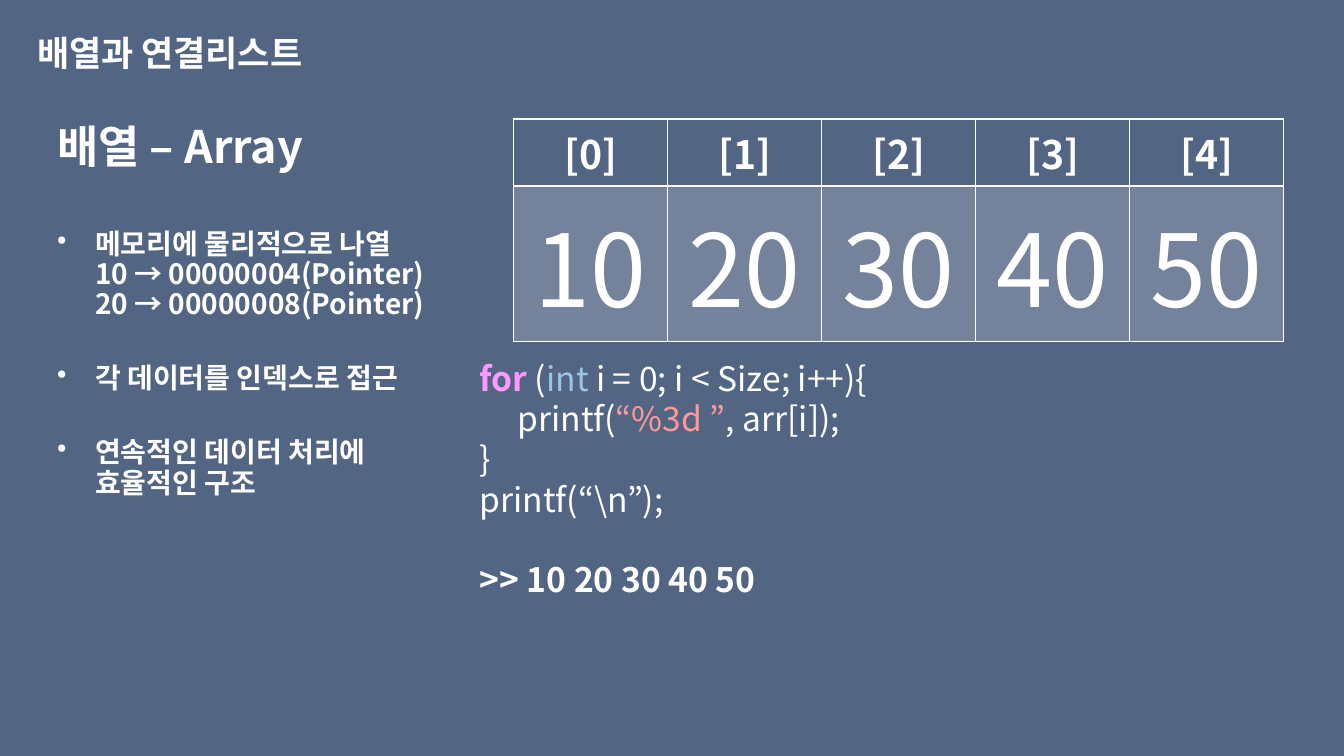
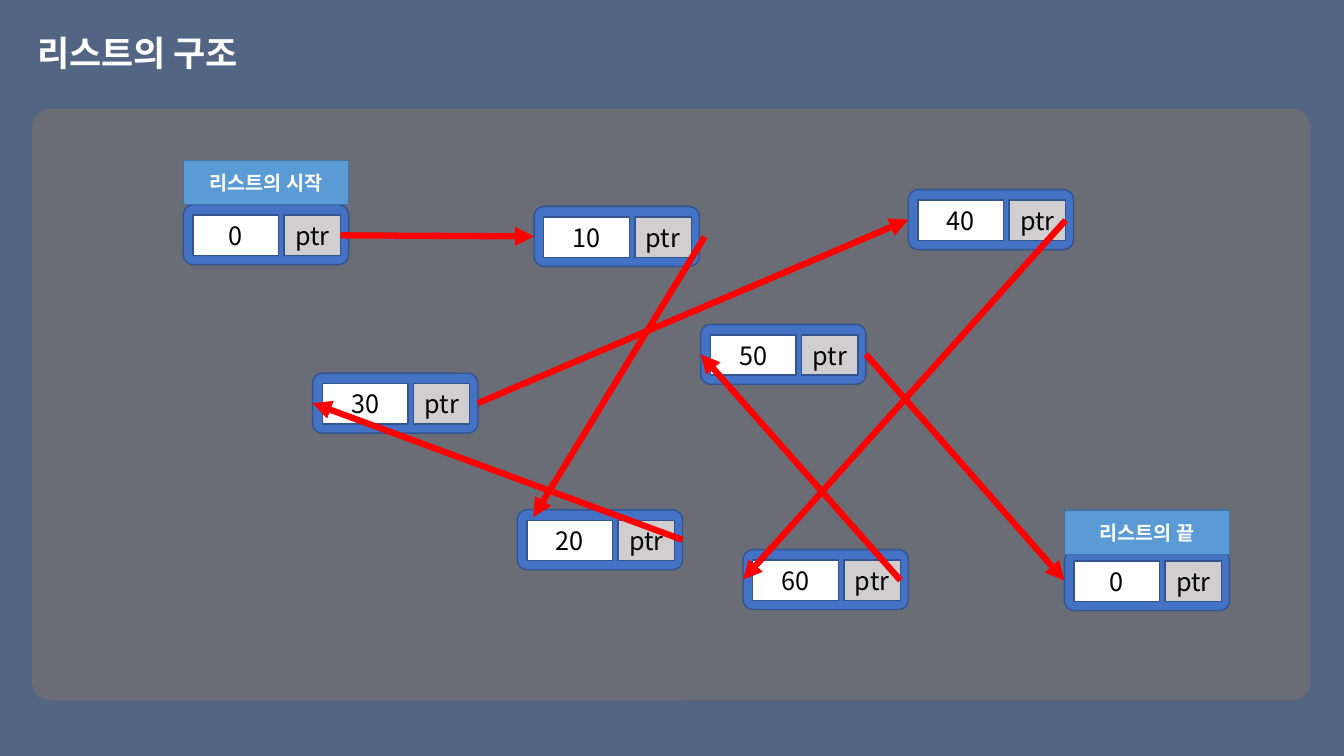
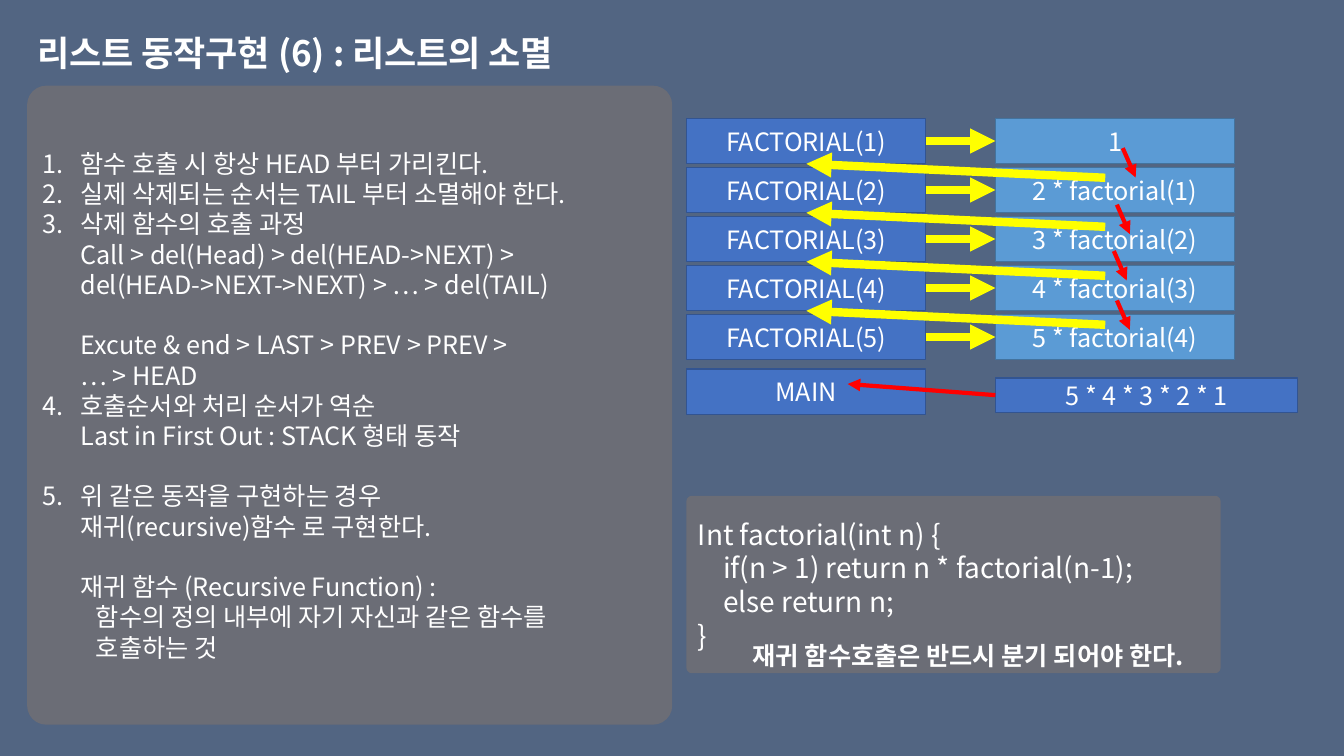
from pptx import Presentation
from pptx.dml.color import RGBColor
from pptx.enum.shapes import MSO_CONNECTOR, MSO_SHAPE
from pptx.enum.text import MSO_ANCHOR, MSO_AUTO_SIZE, PP_ALIGN
from pptx.oxml.ns import qn
from pptx.util import Pt
from lxml.etree import SubElement

FONT = "Noto Sans CJK KR"
NAVY = RGBColor(0x52, 0x65, 0x82)
WHITE = RGBColor(0xFF, 0xFF, 0xFF)
BLACK = RGBColor(0, 0, 0)
GRAY = RGBColor(0x76, 0x71, 0x71)
SILVER = RGBColor(0xD0, 0xCE, 0xCE)
BLUE = RGBColor(0x44, 0x72, 0xC4)
BLUE_EDGE = RGBColor(0x32, 0x54, 0x91)
SKY = RGBColor(0x5B, 0x9B, 0xD5)
SKY_EDGE = RGBColor(0x43, 0x73, 0x9E)
RED = RGBColor(0xFF, 0, 0)
YELLOW = RGBColor(0xFF, 0xFF, 0)
PINK = RGBColor(0xFF, 0x99, 0xFF)
PALE_BLUE = RGBColor(0x9D, 0xC3, 0xE6)
SALMON = RGBColor(0xFF, 0x99, 0x99)
HANG = 27
LEFT_SITE, RIGHT_SITE = 1, 3

# Content: a paragraph is a string or a dict; a run is (text, format)
ARRAY_VALUES = [10, 20, 30, 40, 50]
ARRAY_POINTS = [
    dict(text="배열 – Array", size=32, leading=34.5, before=10),
    dict(text="메모리에 물리적으로 나열\n10 → 00000004(Pointer)\n20 → 00000008(Pointer)",
         bullet="•", before=41.4),
    dict(text="각 데이터를 인덱스로 접근", bullet="•", before=31.4),
    dict(text="연속적인 데이터 처리에\n효율적인 구조", bullet="•", before=31.4),
]
ARRAY_CODE = [
    dict(runs=[("for", dict(color=PINK, bold=True)), (" (", {}),
               ("int ", dict(color=PALE_BLUE)), ("i = 0; i < Size; i++){", {})]),
    dict(runs=[("printf(", {}), ("“%3d ”", dict(color=SALMON)), (", arr[i]);", {})],
         left=HANG),
    "}",
    "printf(“\\n”);",
    dict(text=">> 10 20 30 40 50", bold=True, before=28.8),
]

# Nodes: name -> value, left, top
NODES = {
    "start": ("0", 131, 146.2),
    "end": ("0", 760.3, 393.3),
    "10": ("10", 381.5, 147.5),
    "30": ("30", 223.3, 266.6),
    "40": ("40", 648.8, 135.5),
    "20": ("20", 369.5, 364.2),
    "50": ("50", 500.5, 231.7),
    "60": ("60", 530.8, 392.6),
}
NODE_LABELS = [("리스트의 시작", 131, 114.5), ("리스트의 끝", 760.3, 364.3)]
# Links: source, part the arrow leaves from, target
LINKS = [("start", "pointer", "10"), ("20", "frame", "30"), ("30", "frame", "40"),
         ("40", "pointer", "60"), ("60", "pointer", "50"), ("50", "frame", "end")]
LINK_10_TO_20 = (503.3, 169.2, 380.9, 369.4)

DELETE_STEPS = [
    dict(text="함수 호출 시 항상 HEAD 부터 가리킨다.", bullet="1"),
    dict(text="실제 삭제되는 순서는 TAIL 부터 소멸해야 한다.", bullet="1"),
    dict(text="삭제 함수의 호출 과정\nCall > del(Head) > del(HEAD->NEXT) >\n"
              "del(HEAD->NEXT->NEXT) > … > del(TAIL)", bullet="1"),
    dict(text="Excute & end > LAST > PREV > PREV >\n… > HEAD",
         level=1, left=HANG, before=21.6),
    dict(text="호출순서와 처리 순서가 역순\nLast in First Out : STACK 형태 동작", bullet="1"),
    dict(text="위 같은 동작을 구현하는 경우\n재귀(recursive)함수 로 구현한다.",
         bullet="1", before=21.6),
    dict(text="재귀 함수 (Recursive Function) :", level=1, left=HANG, before=21.6),
    dict(text="함수의 정의 내부에 자기 자신과 같은 함수를\n호출하는 것", level=1, left=38),
]
FACTORIAL_CODE = [
    "Int factorial(int n) {",
    dict(text="if(n > 1) return n * factorial(n-1);", left=18),
    dict(text="else return n;", left=18),
    "}",
]
CALLS = [
    ("FACTORIAL(1)", "1"),
    ("FACTORIAL(2)", "2 * factorial(1)"),
    ("FACTORIAL(3)", "3 * factorial(2)"),
    ("FACTORIAL(4)", "4 * factorial(3)"),
    ("FACTORIAL(5)", "5 * factorial(4)"),
]
SUBSTITUTION_STARTS = [(802, 105.8), (797.8, 146.2), (795.6, 179.3), (797.8, 214.6)]


def write(frame, paragraphs, size=18, color=WHITE, bold=False, align=PP_ALIGN.LEFT,
          anchor=MSO_ANCHOR.TOP, leading=None, wrap=True):
    """Fill a text frame; a paragraph's own keys override the shared format."""
    frame.word_wrap = wrap
    frame.auto_size = MSO_AUTO_SIZE.NONE
    frame.vertical_anchor = anchor
    for i, item in enumerate(paragraphs):
        item = dict(text=item) if isinstance(item, str) else item
        paragraph = frame.paragraphs[0] if i == 0 else frame.add_paragraph()
        paragraph.alignment = align
        paragraph.level = item.get("level", 0)
        paragraph.space_before = Pt(item.get("before", 0))
        spacing = item.get("leading", leading)
        if spacing:
            paragraph.line_spacing = Pt(spacing)
        bullet = item.get("bullet")
        props = paragraph._p.get_or_add_pPr()
        props.set("marL", str(Pt(HANG if bullet else item.get("left", 0))))
        props.set("indent", str(Pt(-HANG if bullet else 0)))
        if bullet == "1":
            SubElement(props, qn("a:buAutoNum"), type="arabicPeriod")
        elif bullet:
            SubElement(props, qn("a:buChar"), char=bullet)
        else:
            SubElement(props, qn("a:buNone"))
        for text, look in item.get("runs") or [(item["text"], {})]:
            look = {**item, **look}
            for n, line in enumerate(text.split("\n")):
                if n:
                    paragraph.add_line_break()
                run = paragraph.add_run()
                run.text = line
                run.font.name = FONT
                run.font.size = Pt(look.get("size", size))
                run.font.bold = look.get("bold", bold)
                run.font.color.rgb = look.get("color", color)
                SubElement(run._r.get_or_add_rPr(), qn("a:ea"), typeface=FONT)


def set_opacity(props, percent):
    for tint in props.xpath("./a:solidFill/a:srgbClr"):
        SubElement(tint, qn("a:alpha"), val=str(percent * 1000))


def add_box(shapes, left, top, width, height, fill, edge, kind=MSO_SHAPE.RECTANGLE):
    box = shapes.add_shape(kind, Pt(left), Pt(top), Pt(width), Pt(height))
    box.shadow.inherit = False
    box.fill.solid()
    box.fill.fore_color.rgb = fill
    if edge is None:
        box.line.fill.background()
    else:
        box.line.color.rgb = edge
        box.line.width = Pt(1)
    return box


def add_label(shapes, text, left, top, width, height, fill, edge, **look):
    box = add_box(shapes, left, top, width, height, fill, edge)
    write(box.text_frame, [text], align=PP_ALIGN.CENTER, anchor=MSO_ANCHOR.MIDDLE, **look)
    return box


def add_panel(shapes, left, top, width, height):
    panel = add_box(shapes, left, top, width, height, GRAY, None,
                    MSO_SHAPE.ROUNDED_RECTANGLE)
    panel.adjustments[0] = 0.03
    set_opacity(panel._element.spPr, 70)
    return panel


def add_text(shapes, paragraphs, left, top, width, height, **look):
    box = shapes.add_textbox(Pt(left), Pt(top), Pt(width), Pt(height))
    write(box.text_frame, paragraphs, **look)


def add_arrow(shapes, color, width, points=(0, 0, 0, 0), source=None, target=None):
    """Draw an arrow; an end given as (shape, site) is glued there."""
    arrow = shapes.add_connector(MSO_CONNECTOR.STRAIGHT, *map(Pt, points))
    if source:
        arrow.begin_connect(*source)
    if target:
        arrow.end_connect(*target)
    arrow.line.color.rgb = color
    arrow.line.width = Pt(width)
    props = arrow._element.spPr
    SubElement(props.find(qn("a:ln")), qn("a:tailEnd"), type="triangle")
    SubElement(props, qn("a:effectLst"))


def add_titled_slide(prs, text):
    slide = prs.slides.add_slide(prs.slide_layouts[5])
    title = slide.shapes.title
    title.left, title.top, title.width, title.height = map(Pt, (19.4, 21.6, 573, 40))
    write(title.text_frame, [text], size=25, bold=True, leading=27)
    return slide.shapes


def style_cell(cell, text, size, bold, bottom, opacity):
    write(cell.text_frame, [text], size=size, bold=bold, align=PP_ALIGN.CENTER)
    cell.vertical_anchor = MSO_ANCHOR.MIDDLE
    props = cell._tc.get_or_add_tcPr()
    for side, width in (("L", 1), ("R", 1), ("T", 1), ("B", bottom)):
        border = SubElement(props, qn(f"a:ln{side}"), w=str(Pt(width)))
        paint = SubElement(border, qn("a:solidFill"))
        SubElement(paint, qn("a:srgbClr"), val=str(WHITE))
    if opacity:
        cell.fill.solid()
        cell.fill.fore_color.rgb = WHITE
        set_opacity(props, opacity)
    else:
        cell.fill.background()


def build_array(prs):
    shapes = add_titled_slide(prs, "배열과 연결리스트")
    add_text(shapes, ARRAY_POINTS, 33.8, 85, 295, 426, size=20, bold=True, leading=21.5)

    # Index row over value row
    count = len(ARRAY_VALUES)
    table = shapes.add_table(2, count, Pt(367), Pt(85), Pt(110 * count), Pt(159)).table
    table.first_row = table.horz_banding = False
    table.rows[0].height, table.rows[1].height = Pt(47.5), Pt(111.5)
    for i, value in enumerate(ARRAY_VALUES):
        table.columns[i].width = Pt(110)
        style_cell(table.cell(0, i), f"[{i}]", 28, True, 2, None)
        style_cell(table.cell(1, i), str(value), 72, False, 1, 20)

    add_text(shapes, ARRAY_CODE, 335.5, 252, 494, 211, size=24, leading=28.8)


def add_node(shapes, value, left, top):
    group = shapes.add_group_shape().shapes
    frame = add_box(group, left, top, 118, 42.8, BLUE, BLUE_EDGE,
                    MSO_SHAPE.ROUNDED_RECTANGLE)
    add_label(group, value, left + 6.9, top + 7.5, 61.2, 28.8, WHITE, BLUE_EDGE, color=BLACK)
    pointer = add_label(group, "ptr", left + 72, top + 7.5, 40.3, 28.8, SILVER, BLUE_EDGE,
                        color=BLACK)
    return dict(frame=frame, pointer=pointer)


def build_list(prs):
    shapes = add_titled_slide(prs, "리스트의 구조")
    add_panel(shapes, 23, 77.8, 913, 422.6)
    nodes = {name: add_node(shapes, *node) for name, node in NODES.items()}
    for text, left, top in NODE_LABELS:
        add_label(shapes, text, left, top, 118, 31.7, SKY, SKY_EDGE, size=14, bold=True)
    for source, part, target in LINKS:
        add_arrow(shapes, RED, 4.5, source=(nodes[source][part], RIGHT_SITE),
                  target=(nodes[target]["frame"], LEFT_SITE))
    add_arrow(shapes, RED, 4.5, LINK_10_TO_20)


def build_deletion(prs):
    shapes = add_titled_slide(prs, "리스트 동작구현 (6) : 리스트의 소멸")
    steps = add_panel(shapes, 19.4, 61.2, 460.8, 456.5)
    write(steps.text_frame, DELETE_STEPS, anchor=MSO_ANCHOR.MIDDLE, leading=21.6)
    code = add_panel(shapes, 490.3, 354.2, 381.6, 126.7)
    write(code.text_frame, FACTORIAL_CODE, size=20, anchor=MSO_ANCHOR.MIDDLE, leading=24)
    add_text(shapes, ["재귀 함수호출은 반드시 분기 되어야 한다."], 530.6, 453.5, 361, 28.8,
             bold=True, leading=21.6, wrap=False)

    # Call stack: each call, its result, and the return to the call above
    tops = [84.5 + 35 * i for i in range(len(CALLS))]
    for (call, result), top in zip(CALLS, tops):
        caller = add_label(shapes, call, 490.3, top, 171, 32.4, BLUE, BLUE_EDGE)
        answer = add_label(shapes, result, 711, top, 171, 32.4, SKY, SKY_EDGE)
        add_arrow(shapes, YELLOW, 6, source=(caller, RIGHT_SITE), target=(answer, LEFT_SITE))
    for top in tops[1:]:
        add_arrow(shapes, YELLOW, 6, (789.5, top + 7.5, 576, top - 2.5))
    for x, y in SUBSTITUTION_STARTS:
        add_arrow(shapes, RED, 3, (x, y, x + 9.2, y + 21))

    # Final value handed back to the main program
    add_label(shapes, "MAIN", 490.3, 263.5, 171, 32.4, BLUE, BLUE_EDGE)
    product = add_label(shapes, "5 * 4 * 3 * 2 * 1", 711, 270, 216, 24.5, BLUE, BLUE_EDGE)
    add_arrow(shapes, RED, 3, (711, 282, 605.5, 274.3), source=(product, LEFT_SITE))


def main():
    prs = Presentation()
    prs.slide_width, prs.slide_height = Pt(960), Pt(540)
    backdrop = prs.slide_master.background.fill
    backdrop.solid()
    backdrop.fore_color.rgb = NAVY
    build_array(prs)
    build_list(prs)
    build_deletion(prs)
    prs.save("out.pptx")


if __name__ == "__main__":
    main()
